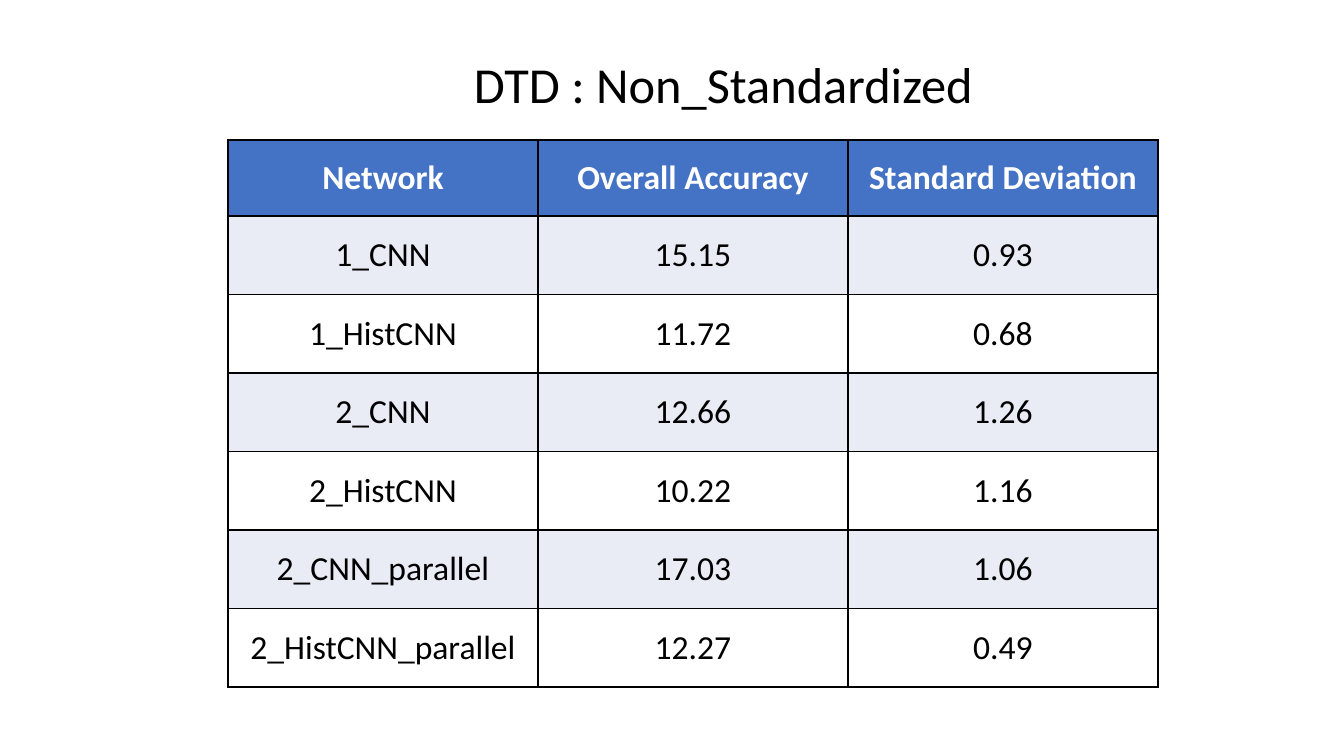
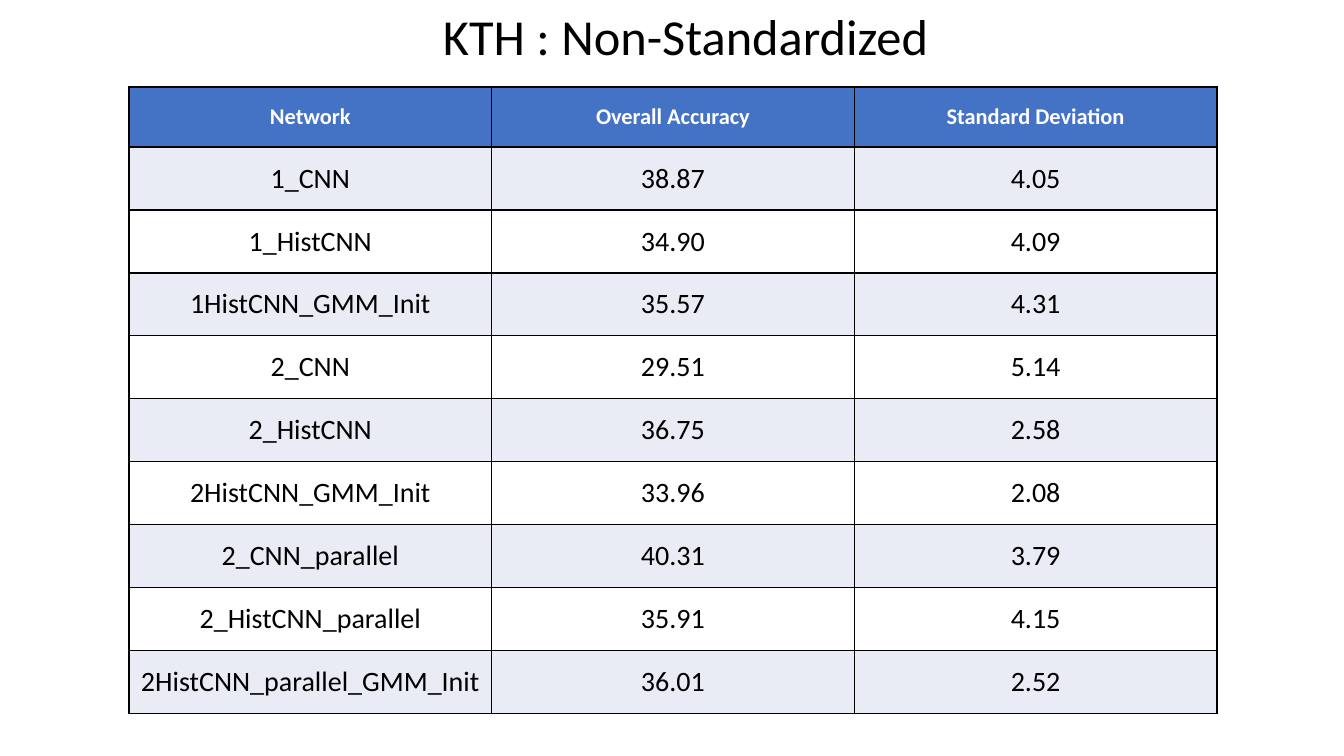
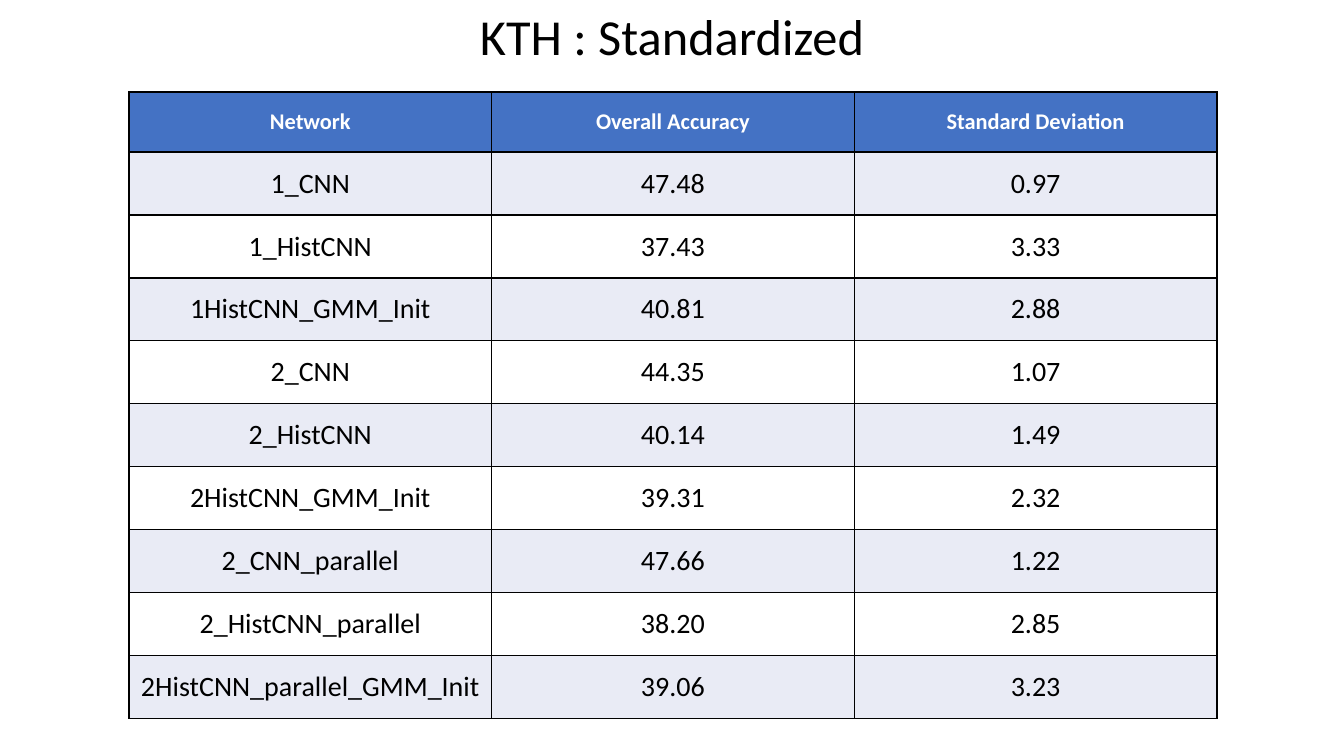
from lxml.etree import SubElement
from pptx import Presentation
from pptx.dml.color import RGBColor
from pptx.enum.text import MSO_ANCHOR as Anchor, MSO_AUTO_SIZE as AutoSize, PP_ALIGN as Align
from pptx.oxml.ns import qn
from pptx.util import Emu, Inches, Pt

# Shared look
FONT = "Calibri"
BLACK = RGBColor(0x00, 0x00, 0x00)
WHITE = RGBColor(0xFF, 0xFF, 0xFF)
BLUE = RGBColor(0x44, 0x72, 0xC4)
PALE = RGBColor(0xE9, 0xEB, 0xF5)
TITLE = {"size": 36, "bold": False, "color": BLACK}
HEADINGS = ("Network", "Overall Accuracy", "Standard Deviation")
PIXELS_PER_INCH = 100.8

# Results: network, overall accuracy, standard deviation
DTD_ROWS = [
    ("1_CNN", "15.15", "0.93"),
    ("1_HistCNN", "11.72", "0.68"),
    ("2_CNN", "12.66", "1.26"),
    ("2_HistCNN", "10.22", "1.16"),
    ("2_CNN_parallel", "17.03", "1.06"),
    ("2_HistCNN_parallel", "12.27", "0.49"),
]
KTH_RAW_ROWS = [
    ("1_CNN", "38.87", "4.05"),
    ("1_HistCNN", "34.90", "4.09"),
    ("1HistCNN_GMM_Init", "35.57", "4.31"),
    ("2_CNN", "29.51", "5.14"),
    ("2_HistCNN", "36.75", "2.58"),
    ("2HistCNN_GMM_Init", "33.96", "2.08"),
    ("2_CNN_parallel", "40.31", "3.79"),
    ("2_HistCNN_parallel", "35.91", "4.15"),
    ("2HistCNN_parallel_GMM_Init", "36.01", "2.52"),
]
KTH_STANDARDIZED_VALUES = [
    ("47.48", "0.97"), ("37.43", "3.33"), ("40.81", "2.88"),
    ("44.35", "1.07"), ("40.14", "1.49"), ("39.31", "2.32"),
    ("47.66", "1.22"), ("38.20", "2.85"), ("39.06", "3.23"),
]
KTH_STANDARDIZED_ROWS = [
    (row[0], *values) for row, values in zip(KTH_RAW_ROWS, KTH_STANDARDIZED_VALUES)
]


def px(pixels):
    return Emu(round(pixels * Inches(1) / PIXELS_PER_INCH))


def write(frame, text, style, align):
    para = frame.paragraphs[0]
    para.alignment = align
    span = para.add_run()
    span.text = text
    font_values = {"name": FONT, "size": Pt(style["size"]), "bold": style["bold"]}
    for name, value in font_values.items():
        setattr(span.font, name, value)
    span.font.color.rgb = style["color"]


def add_title(page, text, left, top, width):
    box = page.shapes.add_textbox(px(left), px(top), px(width), px(71))
    write(box.text_frame, text, TITLE, Align.LEFT)
    for name, value in {"word_wrap": False, "auto_size": AutoSize.SHAPE_TO_FIT_TEXT}.items():
        setattr(box.text_frame, name, value)


def add_borders(cell):
    properties = cell._tc.get_or_add_tcPr()
    for side in ("a:lnL", "a:lnR", "a:lnT", "a:lnB"):
        line = SubElement(properties, qn(side), w=str(Pt(1)))
        fill = SubElement(line, qn("a:solidFill"))
        SubElement(fill, qn("a:srgbClr"), val=str(BLACK))


def fill_cell(cell, text, style, color):
    add_borders(cell)
    cell.fill.solid()
    cell.fill.fore_color.rgb = color
    cell.vertical_anchor = Anchor.MIDDLE
    write(cell.text_frame, text, style, Align.CENTER)


def add_results(page, rows, area, header_height, header_size, body_size):
    left, top, width, height = area
    table = page.shapes.add_table(
        len(rows) + 1, len(HEADINGS), px(left), px(top), px(width), px(height)).table
    for name in ("first_row", "horz_banding"):
        setattr(table, name, False)
    for column in table.columns:
        column.width = px(width / len(HEADINGS))

    header = {"size": header_size, "bold": True, "color": WHITE}
    body = {"size": body_size, "bold": False, "color": BLACK}
    body_height = (height - header_height) / len(rows)
    for index, texts in enumerate([HEADINGS, *rows]):
        if index == 0:
            row_height, style, color = header_height, header, BLUE
        else:
            row_height, style, color = body_height, body, PALE if index % 2 else WHITE
        table.rows[index].height = px(row_height)
        for cell, text in zip(table.rows[index].cells, texts):
            fill_cell(cell, text, style, color)


def main():
    deck = Presentation()
    deck.slide_width, deck.slide_height = px(1344), px(756)
    blank = deck.slide_layouts[6]

    # DTD results
    page = deck.slides.add_slide(blank)
    add_results(page, DTD_ROWS, (228, 140, 930, 547), 76, 24, 24)
    add_title(page, "DTD : Non_Standardized", 464, 48, 523)

    # KTH results, before and after standardizing
    for title, left, width, rows, top in (
        ("KTH : Non-Standardized", 433, 510, KTH_RAW_ROWS, 87),
        ("KTH : Standardized", 470, 408, KTH_STANDARDIZED_ROWS, 92),
    ):
        page = deck.slides.add_slide(blank)
        add_results(page, rows, (129, top, 1088, 627), 60, 16, 20)
        add_title(page, title, left, 0, width)

    deck.save("out.pptx")


main()
